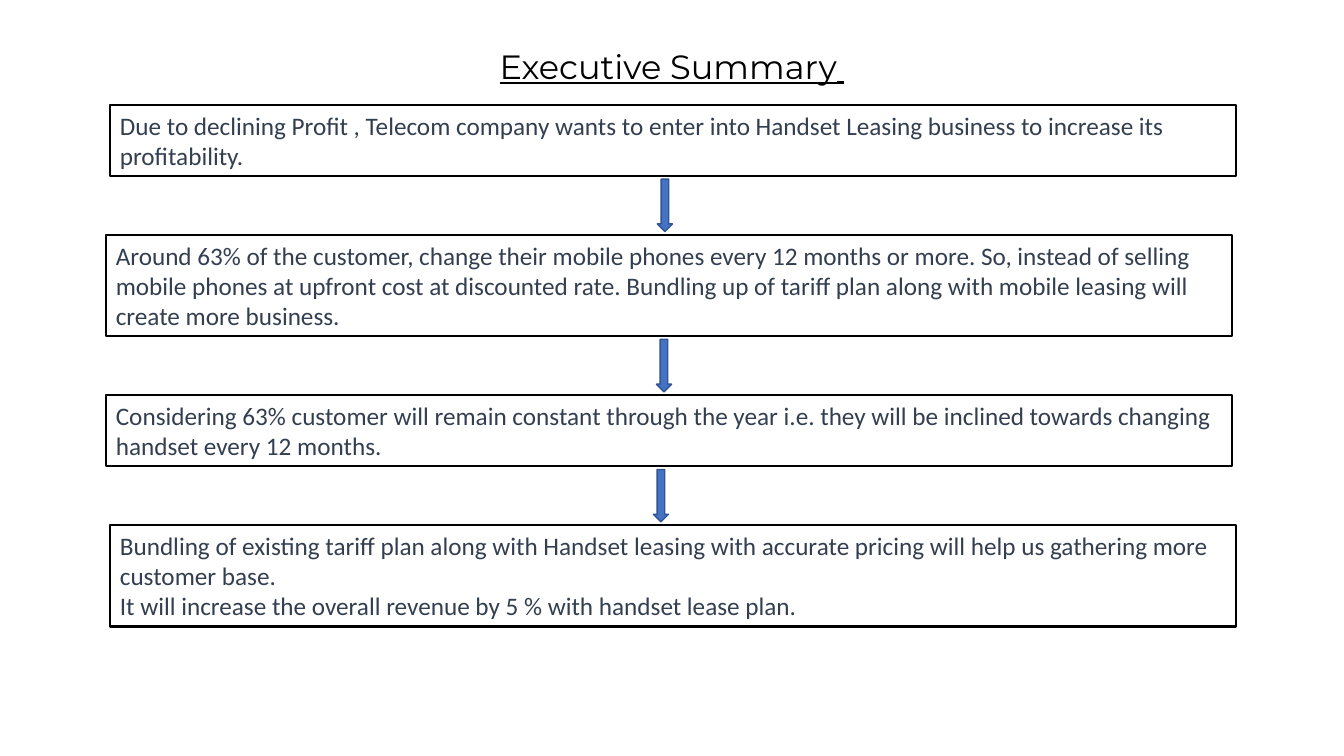
from pptx import Presentation
from pptx.dml.color import RGBColor
from pptx.enum.shapes import MSO_SHAPE
from pptx.enum.text import MSO_ANCHOR, MSO_AUTO_SIZE, PP_ALIGN
from pptx.util import Inches, Pt

DOWN_ARROW = MSO_SHAPE.DOWN_ARROW
TOP = MSO_ANCHOR.TOP
CENTER = PP_ALIGN.CENTER
FIXED_SIZE = MSO_AUTO_SIZE.NONE
GROW = MSO_AUTO_SIZE.SHAPE_TO_FIT_TEXT

WIDTH, HEIGHT = Inches(13.33), Inches(7.5)
FIRST_TOP, LINE_HEIGHT, PADDING, GAP = 13.87, 4, 1.4, 7.8
BOX_WIDTH, ARROW_WIDTH, ARROW_HEIGHT = 83.8, 1.13, 6.93

STEPS = [
    (8.18, 2, ["Due to declining Profit , Telecom company wants to enter into Handset "
               "Leasing business to increase its profitability."]),
    (7.88, 3, ["Around 63% of the customer, change their mobile phones every 12 months "
               "or more. So, instead of selling mobile phones at upfront cost at "
               "discounted rate. Bundling up of tariff plan along with mobile leasing "
               "will create more business."]),
    (7.88, 2, ["Considering 63% customer will remain constant through the year i.e. "
               "they will be inclined towards changing handset every 12 months."]),
    (8.18, 3, ["Bundling of existing tariff plan along with Handset leasing with "
               "accurate pricing will help us gathering more customer base.",
               "It will increase the overall revenue by 5 % with handset lease plan."]),
]
ARROW_LEFTS = [48.91, 48.84, 48.61]


def color(hex_text):
    """Turn a hex string into a colour."""
    return RGBColor.from_string(hex_text)


def area(left, top, width, height):
    """Turn percentages of the slide into a position and size."""
    return [round(share * side / 100) for share, side in
            zip((left, top, width, height), (WIDTH, HEIGHT, WIDTH, HEIGHT))]


def apply(target, values):
    """Set each attribute named in a dict."""
    for name, value in values.items():
        setattr(target, name, value)


def add_run(paragraph, text, hex_text, **values):
    """Add a run of coloured, formatted text."""
    run = paragraph.add_run()
    run.text = text
    run.font.color.rgb = color(hex_text)
    apply(run.font, values)


def outline(shape, hex_text, points):
    """Give a shape its line."""
    shape.line.color.rgb = color(hex_text)
    shape.line.width = Pt(points)


def add_title(slide, text):
    """Fill the title placeholder with an underlined heading."""
    title = slide.shapes.title
    left, top, width, height = area(12.5, 6, 75, 6.4)
    apply(title, {"left": left, "top": top, "width": width, "height": height})
    apply(title.text_frame, {"vertical_anchor": TOP, "auto_size": FIXED_SIZE})
    paragraph = title.text_frame.paragraphs[0]
    apply(paragraph, {"alignment": CENTER, "line_spacing": 0.9, "space_before": Pt(10)})
    for part, font in ((text, "Montserrat"), (" ", "Calibri")):
        add_run(paragraph, part, "000000", name=font, size=Pt(24), underline=True)


def add_step(slide, left, top, height, texts):
    """Add an outlined box with one paragraph per text."""
    box = slide.shapes.add_textbox(*area(left, top, BOX_WIDTH, height))
    outline(box, "000000", 1.5)
    frame = box.text_frame
    apply(frame, {"word_wrap": True, "auto_size": GROW})
    for index, text in enumerate(texts):
        paragraph = frame.add_paragraph() if index else frame.paragraphs[0]
        add_run(paragraph, text, "333F50", name="Calibri", size=Pt(18))


def add_arrow(slide, left, top):
    """Add a down arrow between two steps."""
    arrow = slide.shapes.add_shape(DOWN_ARROW, *area(left, top, ARROW_WIDTH, ARROW_HEIGHT))
    arrow.shadow.inherit = False
    arrow.fill.solid()
    arrow.fill.fore_color.rgb = color("4472C4")
    outline(arrow, "325491", 1)


def main():
    """Build and save the slide."""
    presentation = Presentation()
    apply(presentation, {"slide_width": WIDTH, "slide_height": HEIGHT})
    slide = presentation.slides.add_slide(presentation.slide_layouts[5])
    add_title(slide, "Executive Summary")
    top = FIRST_TOP
    arrow_tops = []
    for left, lines, texts in STEPS:
        height = lines * LINE_HEIGHT + PADDING
        add_step(slide, left, top, height, texts)
        arrow_tops.append(top + height + (GAP - ARROW_HEIGHT) / 2)
        top += height + GAP
    for left, arrow_top in zip(ARROW_LEFTS, arrow_tops):
        add_arrow(slide, left, arrow_top)
    presentation.save("out.pptx")


main()
